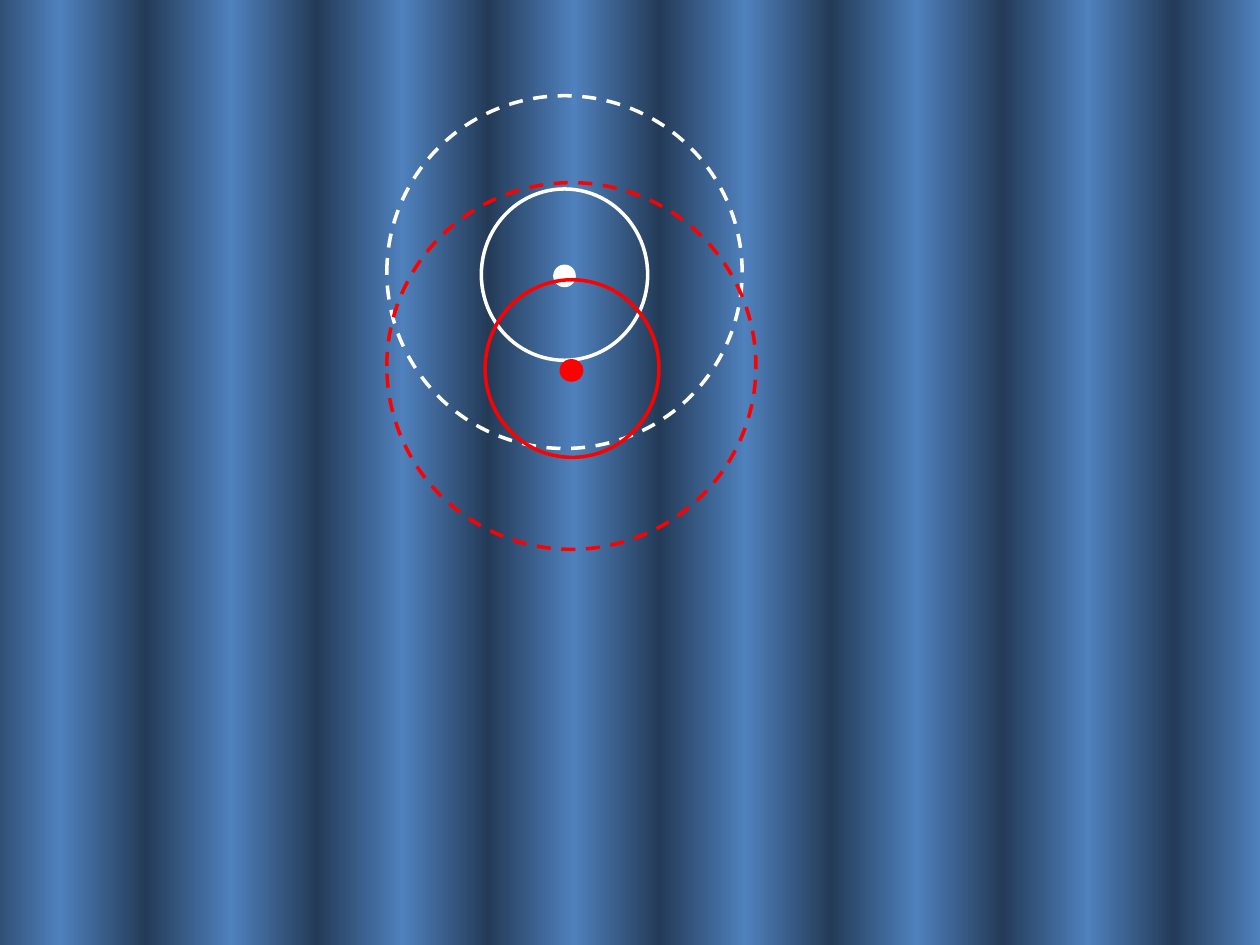
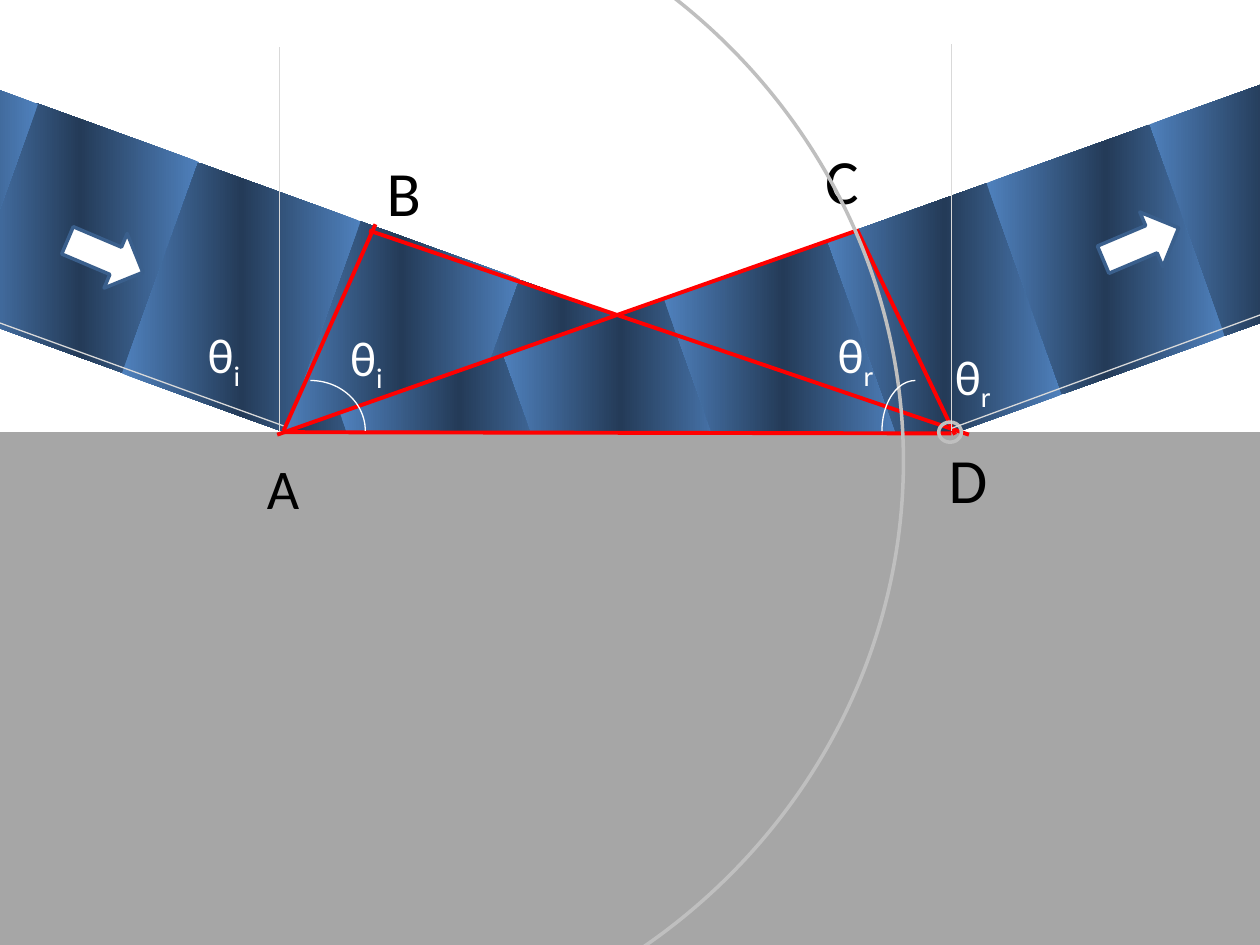
from dataclasses import dataclass

from pptx import Presentation, util as u
from pptx.dml.color import RGBColor
from pptx.enum import dml, shapes, text
from pptx.oxml import parse_xml
from pptx.oxml.ns import nsdecls, qn
from pptx.oxml.xmlchemy import OxmlElement

PX = 9144  # EMU in one px, 100 px to the inch
KIND = shapes.MSO_SHAPE
DASH = dml.MSO_LINE
HUES = {
    "crest": "4F81BD", "trough": "243B58", "edge": "3A5F8C",
    "white": "FFFFFF", "black": "000000", "red": "FF0000",
    "ground": "A6A6A6", "ring": "BFBFBF", "guide": "D9D9D9",
}
FRAME = {"auto_size": text.MSO_AUTO_SIZE.SHAPE_TO_FIT_TEXT}
FONT = {"name": "Calibri"}


@dataclass
class Form:
    """A preset shape; an empty fill or line hue means none."""
    box: tuple[int, int, int, int]
    fill: str = ""
    line: str = ""
    kind: KIND = KIND.OVAL
    width: float = 2
    dash: DASH | None = None
    turn: float = 0
    flip: bool = False


@dataclass
class Train:
    """A row of equal wave bands, drawn in the given order."""
    start: tuple[int, int]
    step: tuple[float, float]
    size: tuple[int, int]
    order: tuple[int, ...]
    turn: float = 0


@dataclass
class Ray:
    start: tuple[int, int]
    end: tuple[int, int]
    hue: str = "red"
    width: float = 2.25


@dataclass
class Label:
    box: tuple[int, int, int, int]
    word: str
    sub: str = ""
    size: int = 36
    hue: str = "black"
    wrap: bool = False


def emu(*sides: float) -> list[int]:
    return [round(side) * PX for side in sides]


def tint(hue: str) -> RGBColor:
    return RGBColor.from_string(HUES[hue])


def apply(item, values: dict) -> None:
    for name, value in values.items():
        setattr(item, name, value)


def draw_form(slide, form: Form):
    shape = slide.shapes.add_shape(form.kind, *emu(*form.box))
    shape.shadow.inherit = False
    shape.rotation = form.turn
    if form.flip:
        shape._element.spPr.find(qn("a:xfrm")).set("flipH", "1")
    if form.fill:
        shape.fill.solid()
        shape.fill.fore_color.rgb = tint(form.fill)
    else:
        shape.fill.background()
    if form.line:
        shape.line.color.rgb = tint(form.line)
        apply(shape.line, {"width": u.Pt(form.width), "dash_style": form.dash})
    else:
        shape.line.fill.background()
    return shape


def shade(shape) -> None:
    """Swap the fill for a crest-trough-crest blend that stays level when turned."""
    stops = "".join(
        f'<a:gs pos="{place}"><a:srgbClr val="{HUES[hue]}"/></a:gs>'
        for place, hue in ((0, "crest"), (50000, "trough"), (100000, "crest")))
    blend = parse_xml(
        f'<a:gradFill {nsdecls("a")} rotWithShape="0"><a:gsLst>{stops}</a:gsLst>'
        '<a:lin ang="0" scaled="0"/></a:gradFill>')
    props = shape._element.spPr
    props.replace(props.find(qn("a:noFill")), blend)


def draw_train(slide, train: Train) -> None:
    for i in train.order:
        spot = [s + i * d for s, d in zip(train.start, train.step)]
        shade(draw_form(slide, Form((*spot, *train.size), kind=KIND.RECTANGLE,
                                    turn=train.turn)))


def draw_ray(slide, ray: Ray) -> None:
    line = slide.shapes.add_connector(
        shapes.MSO_CONNECTOR.STRAIGHT, *emu(*ray.start, *ray.end))
    line.line.color.rgb = tint(ray.hue)
    line.line.width = u.Pt(ray.width)
    line._element.spPr.append(OxmlElement("a:effectLst"))


def draw_label(slide, label: Label) -> None:
    frame = slide.shapes.add_textbox(*emu(*label.box)).text_frame
    apply(frame, FRAME | {"word_wrap": label.wrap})
    for i, part in enumerate(filter(None, (label.word, label.sub))):
        run = frame.paragraphs[0].add_run()
        run.text = part
        apply(run.font, FONT | {"size": u.Pt(label.size)})
        run.font.color.rgb = tint(label.hue)
        if i:
            run.font._element.set("baseline", "-25000")


DRAW = {Form: draw_form, Train: draw_train, Ray: draw_ray, Label: draw_label}


def theta(left: int, top: int, sub: str) -> Label:
    return Label((left, top, 55, 57), "θ", sub, 28, "white", True)


def arrow(left: int, top: int, turn: float) -> Form:
    return Form((left, top, 65, 47), "white", "edge", KIND.RIGHT_ARROW, turn=turn)


def guide(start: tuple[int, int], end: tuple[int, int]) -> Ray:
    return Ray(start, end, "guide", 0.75)


def arc(box: tuple[int, int, int, int], flip: bool = False) -> Form:
    return Form(box, line="white", kind=KIND.ARC, width=0.75, flip=flip)


def source(hue: str, dot: tuple, near: tuple, far: tuple) -> list[Form]:
    """A point with one solid and one dashed wavefront."""
    return [Form(dot, hue), Form(near, line=hue),
            Form(far, line=hue, dash=DASH.DASH)]


FRONTS = [
    Train((-89, -3), (136, 0), (137, 755), (1, 0, 3, 2, 5, 4, 7, 6)),
    *source("white", (439, 210, 18, 18), (382, 150, 132, 136), (307, 76, 282, 280)),
    *source("red", (444, 285, 19, 18), (385, 222, 138, 141), (307, 145, 293, 291)),
]
MIRROR = [
    Train((-133, 54), (127.8, 46.4), (137, 178), (1, 0, 3, 2, 5, 4, 6), 19.9),
    Train((168, 346), (128.2, -45.8), (137, 178), (0, 2, 1, 4, 3, 6, 5), 340.3),
    Form((0, 343, 1000, 407), "ground", kind=KIND.RECTANGLE),
    Ray((225, 342), (298, 178)),
    Label((202, 355, 46, 64), "A", size=32),
    Label((297, 117, 48, 71), "B"),
    arrow(51, 180, 23),
    arrow(873, 170, 337.1),
    Ray((758, 345), (680, 182)),
    Label((645, 107, 47, 71), "C"),
    Label((743, 345, 51, 71), "D"),
    Ray((220, 345), (680, 183)),
    Ray((293, 183), (769, 345)),
    Ray((225, 343), (755, 344)),
    Form((-275, -109, 992, 950), line="ring"),
    Form((745, 335, 18, 16), line="ring"),
    guide((222, 343), (222, 37)),
    guide((225, 338), (-92, 223)),
    theta(155, 253, "i"),
    theta(268, 255, "i"),
    arc((203, 302, 87, 80)),
    theta(655, 253, "r"),
    arc((700, 302, 53, 80), True),
    theta(748, 270, "r"),
    guide((755, 342), (755, 35)),
    guide((1000, 250), (755, 340)),
]


def main() -> None:
    deck = Presentation()
    wide, high = emu(1000, 750)
    apply(deck, {"slide_width": wide, "slide_height": high})
    for scene in (FRONTS, MIRROR):
        slide = deck.slides.add_slide(deck.slide_layouts[6])
        for item in scene:
            DRAW[type(item)](slide, item)
    deck.save("out.pptx")


if __name__ == "__main__":
    main()
